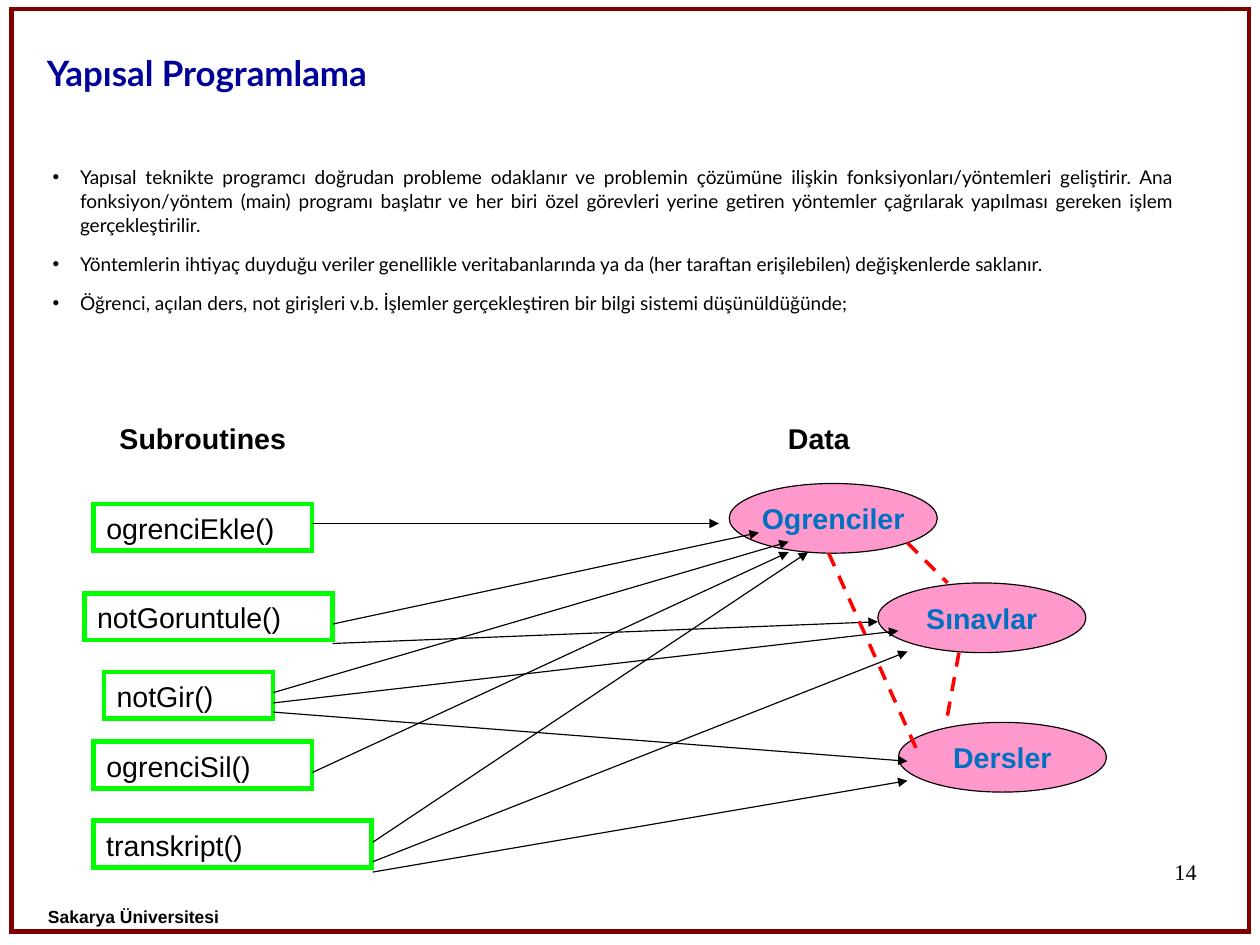
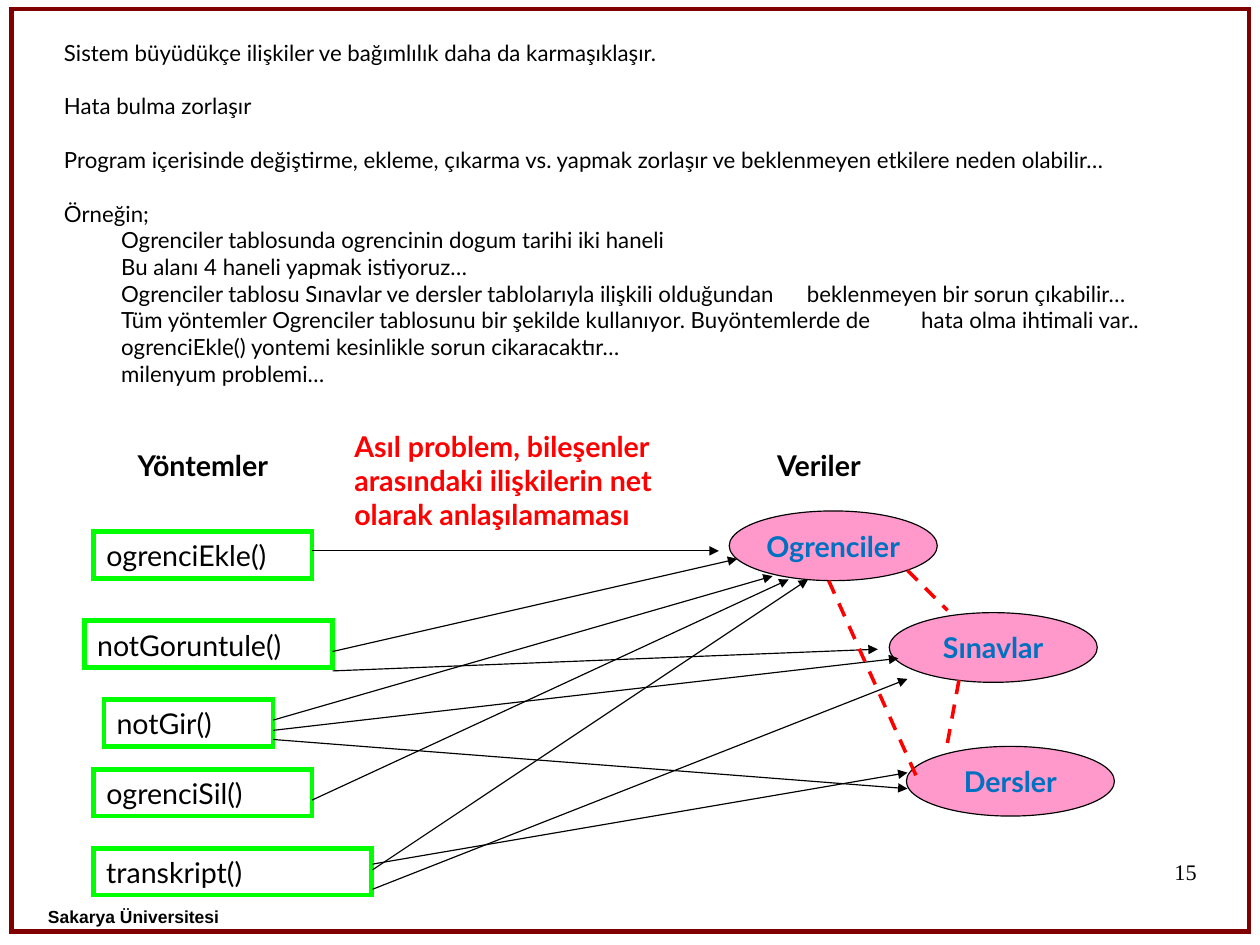
from dataclasses import dataclass

from lxml import etree
from pptx import Presentation
from pptx.dml.color import RGBColor
from pptx.enum import dml, shapes, text
from pptx.oxml import ns
from pptx.util import Cm, Inches, Pt


@dataclass(frozen=True)
class Theme:
    # Colours
    black: str = "000000"
    frame: str = "800000"
    title: str = "000099"
    method_line: str = "00FF00"
    data_fill: str = "FF99CC"
    data_text: str = "0070C0"
    red: str = "FF0000"
    # Fonts
    main: str = "Lato"
    plain: str = "Arial"
    number: str = "Times New Roman"
    # Type sizes in points
    title_size: int = 22
    label_size: int = 18
    body_size: int = 14
    bullet_size: int = 12
    footer_size: int = 11


THEME = Theme()
INSETS = (0.11, 0.06, 0.11, 0.06)

# Diagram, placed as on the first slide: left, top, width
METHODS = [
    ("ogrenciEkle()", 0.82, 4.41, 1.91),
    ("notGoruntule()", 0.74, 5.19, 2.17),
    ("notGir()", 0.91, 5.88, 1.48),
    ("ogrenciSil()", 0.82, 6.49, 1.91),
    ("transkript()", 0.82, 7.18, 2.43),
]
METHOD_HEIGHT = 0.41
DATA_SIZE = (1.82, 0.61)
# Lines: from x, from y, to x, to y
SHARED_ARROWS = [
    (2.73, 4.58, 6.29, 4.58),
    (2.91, 5.63, 7.68, 5.44),
    (2.39, 6.15, 7.86, 5.52),
    (2.39, 6.23, 7.94, 6.66),
    (2.73, 6.76, 6.9, 4.83),
    (3.26, 7.37, 7.07, 4.83),
    (3.26, 7.54, 7.94, 5.7),
]
DATA_LINKS = [
    (7.25, 4.84, 8.03, 6.58),
    (7.94, 4.75, 8.29, 5.1),
    (8.39, 5.71, 8.28, 6.31),
]

BULLETS = [
    "Yapısal teknikte programcı doğrudan probleme odaklanır ve problemin çözümüne "
    "ilişkin fonksiyonları/yöntemleri geliştirir. Ana fonksiyon/yöntem (main) programı "
    "başlatır ve her biri özel görevleri yerine getiren yöntemler çağrılarak yapılması "
    "gereken işlem gerçekleştirilir.",
    "Yöntemlerin ihtiyaç duyduğu veriler genellikle veritabanlarında ya da "
    "(her taraftan erişilebilen) değişkenlerde saklanır.",
    "Öğrenci, açılan ders, not girişleri v.b. İşlemler gerçekleştiren bir bilgi "
    "sistemi düşünüldüğünde;",
]
PROBLEMS = [
    "Sistem büyüdükçe ilişkiler ve bağımlılık daha da karmaşıklaşır.",
    "Hata bulma zorlaşır",
    "Program içerisinde değiştirme, ekleme, çıkarma vs. yapmak zorlaşır ve "
    "beklenmeyen etkilere neden olabilir…",
    "Örneğin;",
    "\tOgrenciler tablosunda ogrencinin dogum tarihi iki haneli",
    "\tBu alanı 4 haneli yapmak istiyoruz…",
    "\tOgrenciler tablosu Sınavlar ve dersler tablolarıyla ilişkili olduğundan "
    "\tbeklenmeyen bir sorun çıkabilir…",
    "\tTüm yöntemler Ogrenciler tablosunu bir şekilde kullanıyor. Buyöntemlerde de "
    "\thata olma ihtimali var..",
    "\togrenciEkle() yontemi kesinlikle sorun cikaracaktır…",
    "\tmilenyum problemi…",
]
TAB_STOPS = (0.5, 6.5, 7.5)


# Text helpers
def rgb(colour):
    return RGBColor.from_string(colour)


def place(shape, left, top, width, height):
    shape.left, shape.top = Inches(left), Inches(top)
    shape.width, shape.height = Inches(width), Inches(height)


def set_frame(shape, insets=INSETS, anchor=text.MSO_ANCHOR.TOP, wrap=True):
    frame = shape.text_frame
    frame.auto_size = text.MSO_AUTO_SIZE.NONE
    frame.word_wrap = wrap
    frame.vertical_anchor = anchor
    (frame.margin_left, frame.margin_top,
     frame.margin_right, frame.margin_bottom) = map(Inches, insets)
    return frame


def format_paragraph(paragraph, size, font=THEME.main, colour=THEME.black, bold=False,
                     align=text.PP_ALIGN.LEFT, spacing=1.0):
    paragraph.alignment = align
    paragraph.line_spacing = spacing
    for run in paragraph.runs:
        run.font.name = font
        run.font.size = Pt(size)
        run.font.bold = bold
        run.font.color.rgb = rgb(colour)


def add_label(slide, box, words, size=THEME.label_size, insets=INSETS, **style):
    shape = slide.shapes.add_textbox(*map(Inches, box))
    frame = set_frame(shape, insets)
    frame.text = words
    format_paragraph(frame.paragraphs[0], size, **style)


def set_indent(paragraph, left=0, bullet=None, tabs=()):
    properties = paragraph._p.get_or_add_pPr()
    properties.set("marL", str(Inches(left)))
    properties.set("indent", str(-Inches(left)))
    if bullet:
        etree.SubElement(properties, ns.qn("a:buChar"), char=bullet)
    else:
        etree.SubElement(properties, ns.qn("a:buNone"))
    if tabs:
        tab_list = etree.SubElement(properties, ns.qn("a:tabLst"))
        for position in tabs:
            etree.SubElement(tab_list, ns.qn("a:tab"), pos=str(Inches(position)), algn="l")


def fill_body(slide, box, lines):
    body = slide.placeholders[1]
    place(body, *box)
    frame = set_frame(body)
    frame.text = "\n".join(lines)
    return frame.paragraphs


# Shape helpers
def add_shape(slide, kind, box, line, width, fill=None):
    shape = slide.shapes.add_shape(kind, *map(Inches, box))
    shape.shadow.inherit = False
    if fill:
        shape.fill.solid()
        shape.fill.fore_color.rgb = rgb(fill)
    else:
        shape.fill.background()
    shape.line.color.rgb = rgb(line)
    shape.line.width = Pt(width)
    etree.SubElement(shape.line._get_or_add_ln(), ns.qn("a:miter"), lim="800000")
    return shape


def add_line(slide, points, shift, colour, width, dashed=False, arrow=False):
    x1, y1, x2, y2 = points
    line = slide.shapes.add_connector(
        shapes.MSO_CONNECTOR.STRAIGHT,
        *map(Inches, (x1, y1 + shift, x2, y2 + shift)))
    line.line.color.rgb = rgb(colour)
    line.line.width = Pt(width)
    if dashed:
        line.line.dash_style = dml.MSO_LINE.DASH
    if arrow:
        etree.SubElement(line.line._get_or_add_ln(), ns.qn("a:tailEnd"), type="triangle")
    etree.SubElement(line._element.spPr, ns.qn("a:effectLst"))


def add_method(slide, words, box, font):
    shape = add_shape(slide, shapes.MSO_SHAPE.RECTANGLE, box, THEME.method_line, 3)
    frame = set_frame(shape)
    frame.text = words
    format_paragraph(frame.paragraphs[0], THEME.label_size, font)


def add_data(slide, words, box, font):
    shape = add_shape(slide, shapes.MSO_SHAPE.OVAL, box, THEME.black, 0.75, THEME.data_fill)
    frame = set_frame(shape, anchor=text.MSO_ANCHOR.MIDDLE, wrap=False)
    frame.text = words
    format_paragraph(frame.paragraphs[0], THEME.label_size, font, THEME.data_text,
                     bold=True, align=text.PP_ALIGN.CENTER)


def add_diagram(slide, headings, data, arrows, font, shift=0):
    for words, left, top, width in METHODS:
        add_method(slide, words, (left, top + shift, width, METHOD_HEIGHT), font)
    for words, left, top in data:
        add_data(slide, words, (left, top + shift, *DATA_SIZE), font)
    for points in SHARED_ARROWS + arrows:
        add_line(slide, points, shift, THEME.black, 0.75, arrow=True)
    for points in DATA_LINKS:
        add_line(slide, points, shift, THEME.red, 2.25, dashed=True)
    for words, left in zip(headings, (0.56, 5.95)):
        add_label(slide, (left, 3.62 + shift, 2.43, 0.41), words, font=font, bold=True,
                  align=text.PP_ALIGN.CENTER)


# Slides
def add_slide(presentation, number):
    """Add a slide with the shared frame, page number and footer."""
    slide = presentation.slides.add_slide(presentation.slide_layouts[1])
    add_shape(slide, shapes.MSO_SHAPE.RECTANGLE, (0.1, 0.08, 10.83, 8.07), THEME.frame, 2.83)
    add_label(slide, (7.9, 7.53, 2.57, 0.57), str(number), THEME.body_size, (0, 0, 0, 0),
              font=THEME.number, align=text.PP_ALIGN.RIGHT, spacing=0.95)
    add_label(slide, (0.2, 7.76, 2.36, 0.54), "Sakarya Üniversitesi", THEME.footer_size,
              (0.22, 0.18, 0.22, 0.17), font=THEME.plain, bold=True, spacing=0.93)
    return slide


def add_structured_slide(presentation):
    slide = add_slide(presentation, 14)
    title = slide.shapes.title
    place(title, 0.31, 0.27, 8, 0.6)
    frame = set_frame(title, (0.1, 0.05, 0.1, 0.05), text.MSO_ANCHOR.BOTTOM)
    frame.text = "Yapısal Programlama"
    format_paragraph(frame.paragraphs[0], THEME.title_size, colour=THEME.title, bold=True)

    for paragraph in fill_body(slide, (0.35, 1.38, 10.03, 1.42), BULLETS):
        set_indent(paragraph, 0.24, "•")
        paragraph.space_before = Pt(0)
        paragraph.space_after = Pt(9.8)
        format_paragraph(paragraph, THEME.bullet_size, align=text.PP_ALIGN.JUSTIFY,
                         spacing=1.04)

    add_diagram(
        slide, ("Subroutines", "Data"),
        [("Ogrenciler", 6.38, 4.23), ("Sınavlar", 7.68, 5.1), ("Dersler", 7.86, 6.32)],
        [(2.91, 5.46, 6.64, 4.66), (2.39, 6.06, 6.9, 4.74), (3.26, 7.63, 7.94, 6.83)],
        THEME.plain)


def add_problem_slide(presentation):
    slide = add_slide(presentation, 15)
    title = slide.shapes.title._element
    title.getparent().remove(title)

    paragraphs = fill_body(slide, (0.45, 0.28, 10.03, 3.4), PROBLEMS)
    for index, paragraph in enumerate(paragraphs):
        set_indent(paragraph, tabs=TAB_STOPS)
        starts_block = index > 0 and not PROBLEMS[index].startswith("\t")
        paragraph.space_before = Pt(17 if starts_block else 0)
        format_paragraph(paragraph, THEME.body_size, align=text.PP_ALIGN.JUSTIFY)

    add_diagram(
        slide, ("Yöntemler", "Veriler"),
        [("Ogrenciler", 6.38, 4.23), ("Sınavlar", 7.78, 5.12), ("Dersler", 7.93, 6.29)],
        [(2.91, 5.46, 6.45, 4.65), (2.39, 6.06, 6.76, 4.8), (3.26, 7.32, 7.94, 6.52)],
        THEME.main, shift=0.24)
    add_label(slide, (2.99, 3.69, 3.39, 1.01),
              "Asıl problem, bileşenler arasındaki ilişkilerin net olarak anlaşılamaması",
              colour=THEME.red, bold=True)


def main():
    presentation = Presentation()
    # The page is 28 by 21 cm, a custom size
    presentation.slide_width, presentation.slide_height = Cm(28), Cm(21)
    presentation.element.sldSz.attrib.pop("type", None)
    add_structured_slide(presentation)
    add_problem_slide(presentation)
    presentation.save("out.pptx")


if __name__ == "__main__":
    main()
